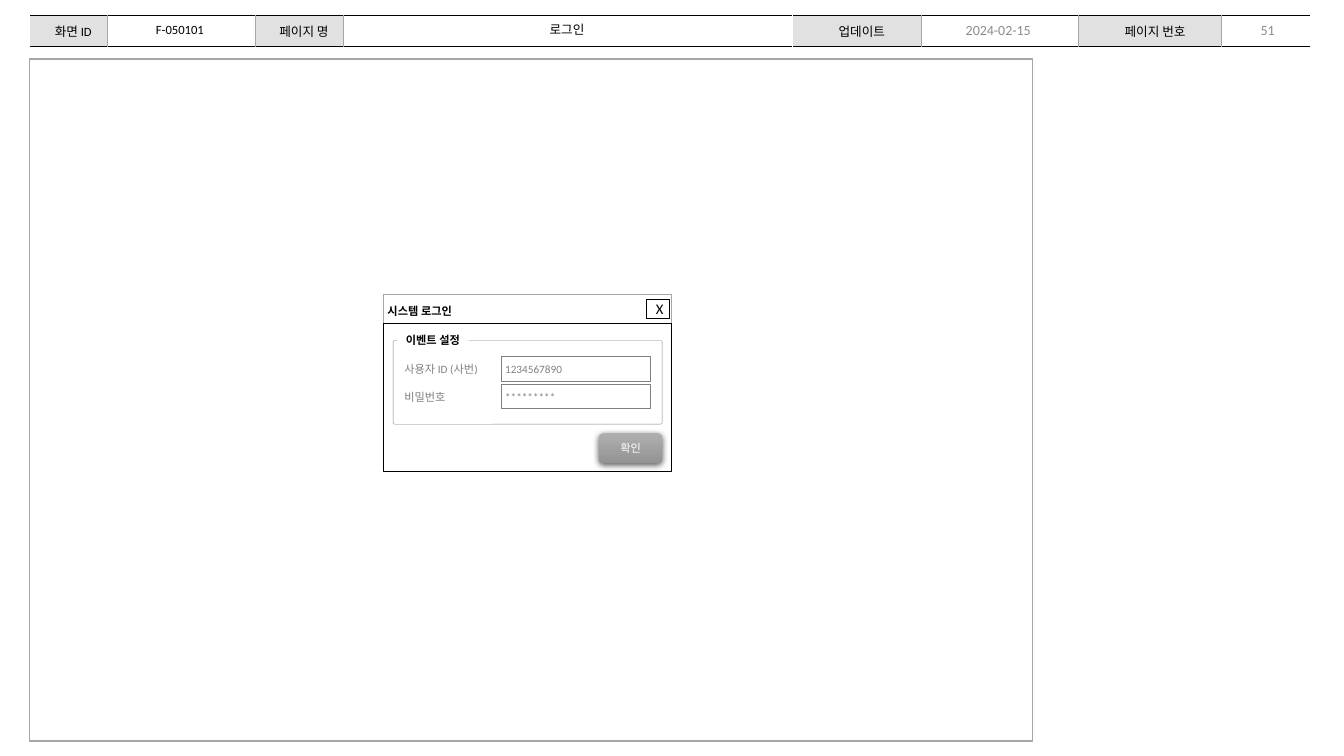
from dataclasses import dataclass

from lxml.etree import SubElement
from pptx import Presentation
from pptx.dml.color import RGBColor
from pptx.enum.shapes import MSO_SHAPE as Shape
from pptx.enum.text import MSO_ANCHOR as Anchor, PP_ALIGN as Align
from pptx.oxml import parse_xml
from pptx.oxml.ns import nsdecls, qn
from pptx.util import Pt


@dataclass(frozen=True)
class Theme:
    font: str = "Calibri"
    ink: str = "000000"
    paper: str = "FFFFFF"
    label_fill: str = "E1E1E1"
    rule: str = "A6A6A6"
    muted: str = "808080"
    meta: str = "8C8C8C"
    button_top: str = "AFAFAF"
    button_bottom: str = "939393"
    small: float = 8
    header: float = 9
    date: float = 10
    close: float = 10.5


THEME = Theme()
COLUMNS = (55.4, 105.8, 62.6, 321.1, 92.2, 112.3, 102.2, 63.4)
LABELS = {0: "화면 ID", 2: "페이지 명", 4: "업데이트", 6: "페이지 번호"}
TIGHT = (3, 3.6, 3, 3.6)
FLAT = (0, 0, 0, 0)


def rgb(color):
    return RGBColor.from_string(color)


def write(frame, text, size=THEME.small, color=THEME.ink, bold=False,
          align=Align.LEFT, insets=TIGHT, wrap=True):
    """Fill a text frame with one formatted line, centred vertically."""
    left, top, right, bottom = map(Pt, insets)
    layout = dict(margin_left=left, margin_top=top, margin_right=right,
                  margin_bottom=bottom, vertical_anchor=Anchor.MIDDLE, word_wrap=wrap)
    for name, value in layout.items():
        setattr(frame, name, value)
    para = frame.paragraphs[0]
    para.alignment = align
    span = para.add_run()
    span.text = text
    for name, value in dict(name=THEME.font, size=Pt(size), bold=bold).items():
        setattr(span.font, name, value)
    span.font.color.rgb = rgb(color)


def add_box(page, box, fill=None, line=None, width=0.25, kind=Shape.RECTANGLE):
    shape = page.shapes.add_shape(kind, *map(Pt, box))
    shape.shadow.inherit = False
    if fill:
        shape.fill.solid()
        shape.fill.fore_color.rgb = rgb(fill)
    else:
        shape.fill.background()
    if line:
        shape.line.color.rgb = rgb(line)
        shape.line.width = Pt(width)
    else:
        shape.line.fill.background()
    return shape


def add_text(page, box, text, **style):
    write(page.shapes.add_textbox(*map(Pt, box)).text_frame, text, **style)


def set_borders(cell, borders):
    """Set borders, given as {side: (color, width)}, ahead of the cell's fill."""
    props = cell._tc.get_or_add_tcPr()
    for index, side in enumerate("LRTB"):
        color, width = borders[side]
        props.insert(index, parse_xml(
            f'<a:ln{side} {nsdecls("a")} w="{Pt(width)}"><a:solidFill>'
            f'<a:srgbClr val="{color}"/></a:solidFill></a:ln{side}>'))


def add_header(page, left, top, height):
    frame = page.shapes.add_table(1, len(COLUMNS), Pt(left), Pt(top),
                                  Pt(sum(COLUMNS)), Pt(height))
    table = frame.table
    table.first_row = table.horz_banding = False
    table.rows[0].height = Pt(height)
    gray, blank, black = (THEME.rule, 0.25), (THEME.paper, 0.25), (THEME.ink, 0.5)
    edges = [blank, gray, gray, gray, blank, gray, gray, gray, blank]
    for index, width in enumerate(COLUMNS):
        table.columns[index].width = Pt(width)
        cell = table.cell(0, index)
        if index in LABELS:
            cell.fill.solid()
            cell.fill.fore_color.rgb = rgb(THEME.label_fill)
            write(cell.text_frame, LABELS[index], size=THEME.header,
                  align=Align.CENTER, insets=FLAT)
        else:
            cell.fill.background()
        margins = dict(margin_left=Pt(7.2), margin_right=0, margin_top=0,
                       margin_bottom=0, vertical_anchor=Anchor.MIDDLE)
        for name, value in margins.items():
            setattr(cell, name, value)
        set_borders(cell, dict(L=edges[index], R=edges[index + 1], T=black, B=black))

    centred = dict(align=Align.CENTER, insets=FLAT)
    add_text(page, (left + 57, top + 2, 101, 17), "F-050101", size=THEME.header, **centred)
    title = page.shapes.title
    box = (left + 226, top + 2, 316, 17)
    for name, value in zip(("left", "top", "width", "height"), box):
        setattr(title, name, Pt(value))
    write(title.text_frame, "로그인", size=THEME.header, **centred)
    meta = dict(size=THEME.date, color=THEME.meta, **centred)
    add_text(page, (left + 640, top + 3.4, 104, 15), "2024-02-15", **meta)
    add_text(page, (left + 855, top + 3.4, 59, 15), "51", **meta)


def add_button(page, box, text):
    button = add_box(page, box, THEME.button_top, kind=Shape.ROUNDED_RECTANGLE)
    button.fill.gradient()
    button.fill.gradient_angle = 270
    for stop, color in zip(button.fill.gradient_stops,
                           (THEME.button_top, THEME.button_bottom)):
        stop.color.rgb = rgb(color)
    effects = button._element.spPr.find(qn("a:effectLst"))
    shadow = SubElement(effects, qn("a:outerShdw"), blurRad=str(Pt(4.5)),
                        dist=str(Pt(1.5)), dir="5400000", algn="ctr", rotWithShape="0")
    color = SubElement(shadow, qn("a:srgbClr"), val=THEME.ink)
    SubElement(color, qn("a:alpha"), val="63000")
    write(button.text_frame, text, color=THEME.paper, align=Align.CENTER)


def add_login_dialog(page, left, top, width, height):
    bar = 21
    add_box(page, (left, top, width, bar), line=THEME.rule)
    add_box(page, (left, top + bar, width, height - bar), line=THEME.ink)
    add_text(page, (left, top + 3.6, 56, 17.3), "시스템 로그인", bold=True, wrap=False)
    close = add_box(page, (left + 188, top + 4, 16, 13), line=THEME.ink)
    write(close.text_frame, "X", size=THEME.close, align=Align.CENTER,
          insets=(3, 0, 0, 0), wrap=False)

    group = add_box(page, (left + 7, top + 33.2, 192.2, 59.8), line=THEME.muted,
                    kind=Shape.ROUNDED_RECTANGLE)
    group.adjustments[0] = 0.02
    legend = add_box(page, (left + 10, top + 24, 51, 17.3), THEME.paper)
    write(legend.text_frame, "이벤트 설정", bold=True, align=Align.CENTER)

    fields = (("사용자 ID (사번)", "1234567890"), ("비밀번호", "*********"))
    for index, (label, value) in enumerate(fields):
        y = top + 44.8 + 20 * index
        add_text(page, (left + 12, y, 72, 17.3), label, color=THEME.muted)
        entry = add_box(page, (left + 84, y, 107, 17.3), THEME.paper, THEME.muted, 0.5)
        write(entry.text_frame, value, color=THEME.muted)
    add_button(page, (left + 154, top + 99.4, 45.4, 21.6), "확인")


def main():
    deck = Presentation()
    deck.slide_width, deck.slide_height = Pt(960), Pt(540)
    page = deck.slides.add_slide(deck.slide_layouts[5])
    add_header(page, 21, 10.8, 22.3)
    add_box(page, (21, 42, 716.4, 487.2), line=THEME.rule, width=1)
    add_login_dialog(page, 273.8, 210, 206, 126.8)
    deck.save("out.pptx")


if __name__ == "__main__":
    main()
